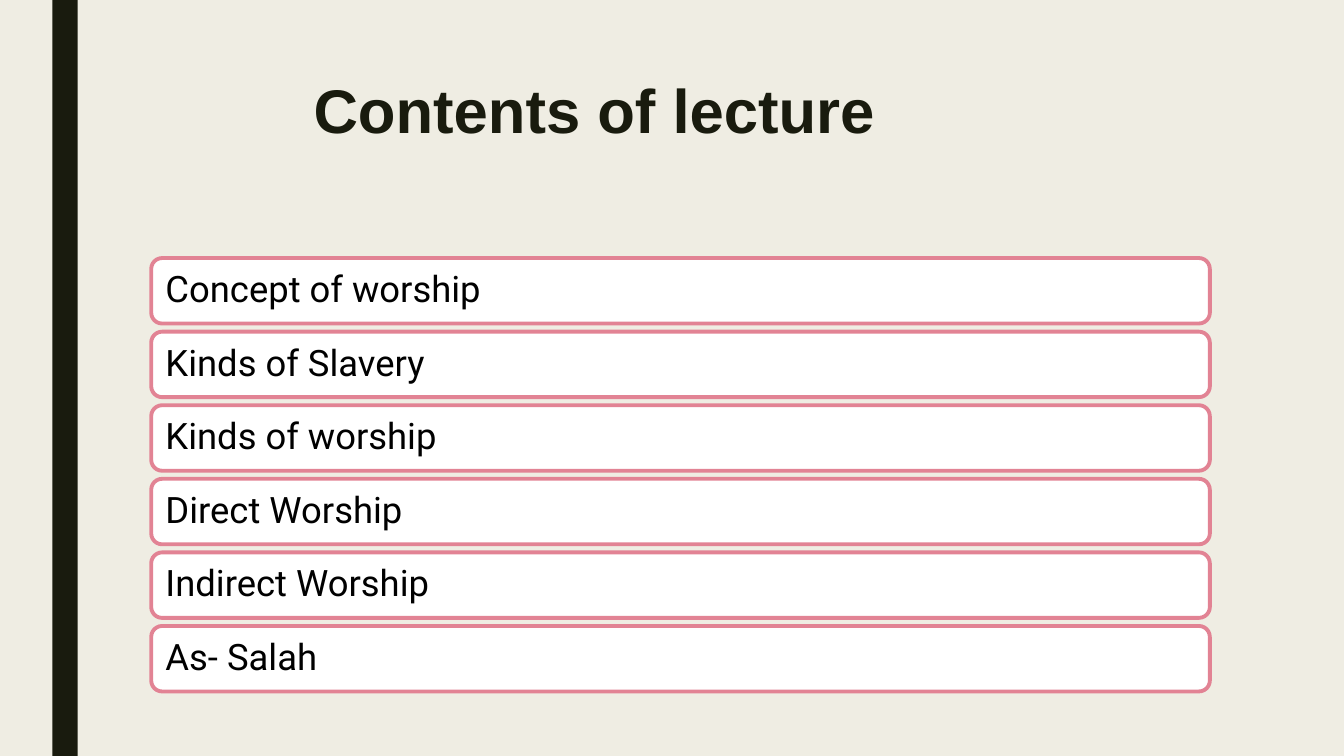
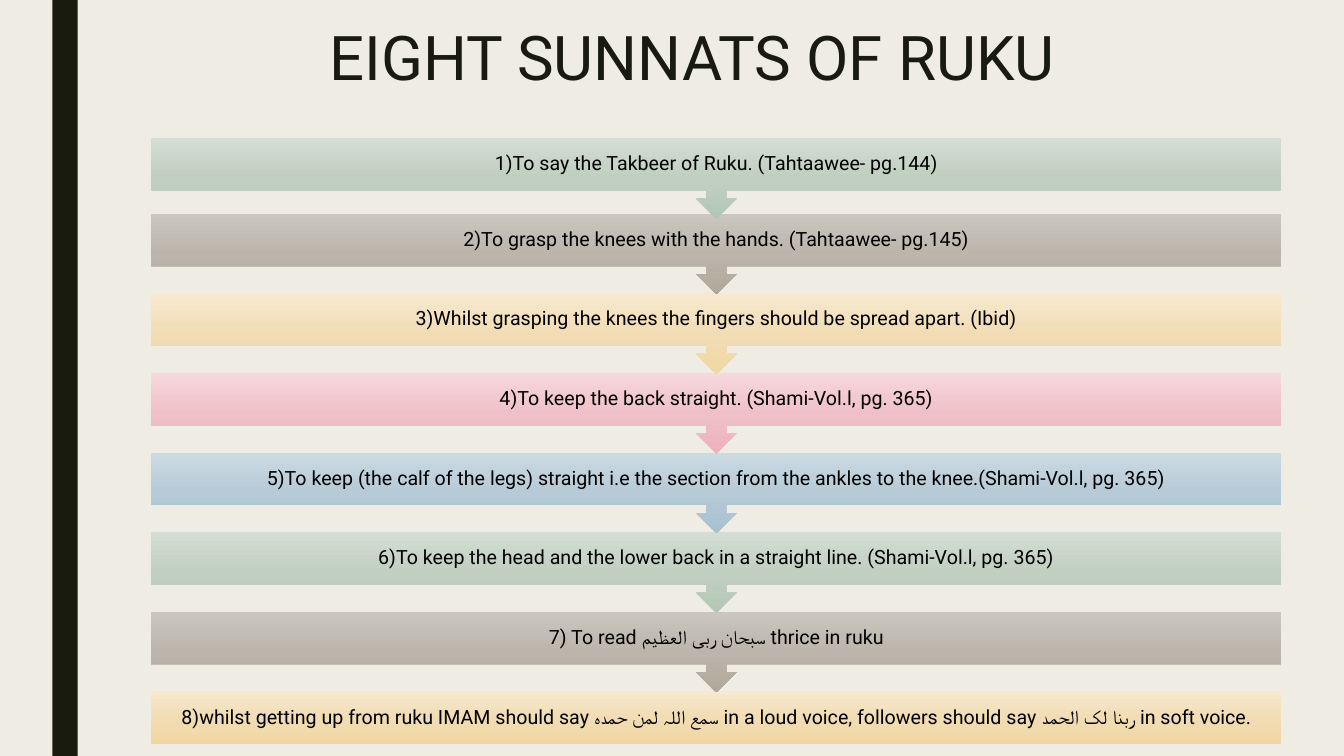
"""Build two lecture slides: a contents list and a chain of steps."""
from copy import deepcopy
from dataclasses import dataclass

from pptx import Presentation
from pptx.dml.color import RGBColor
from pptx.enum.shapes import MSO_SHAPE
from pptx.enum.text import MSO_ANCHOR, PP_ALIGN
from pptx.oxml.ns import qn
from pptx.shapes.autoshape import Shape
from pptx.slide import Slide
from pptx.util import Inches, Pt

PAPER, INK, BLACK, WHITE, ROSE = "EFEDE3", "191B0E", "000000", "FFFFFF", "E28394"
FONT = "Roboto"
LEFT = 1.5

GREEN = ("D3DDD3", "C0CFC0", "B4C7B5")
TAUPE = ("CBC7BF", "BBB5AB", "B0A89A")
SAND = ("F7E9D0", "F1DCB4", "F1D7A3")
PINK = ("F6D9DD", "EFC0C7", "EEB2BB")
BLUE = ("CCDAE3", "B6CAD7", "A7C1D2")
TINTS = (GREEN, TAUPE, SAND, PINK, BLUE)

TOPICS = (
    "Concept of worship",
    "Kinds of Slavery",
    "Kinds of worship",
    "Direct Worship",
    "Indirect Worship",
    "As- Salah",
)
STEPS = (
    "1)To say the Takbeer of Ruku. (Tahtaawee- pg.144)",
    "2)To grasp the knees with the hands. (Tahtaawee- pg.145)",
    "3)Whilst grasping the knees the fingers should be spread apart. (Ibid)",
    "4)To keep the back straight. (Shami-Vol.l, pg. 365)",
    "5)To keep (the calf of the legs) straight i.e the section from the ankles "
    "to the knee.(Shami-Vol.l, pg. 365)",
    "6)To keep the head and the lower back in a straight line. (Shami-Vol.l, pg. 365)",
    "7) To read سبحان ربی العظیم thrice in ruku",
    "8)whilst getting up from ruku IMAM should say سمع اللہ لمن حمدہ in a loud voice, "
    "followers should say ربنا لک الحمد in soft voice.",
)


@dataclass(frozen=True)
class Box:
    """Place of a shape in inches."""

    left: float
    top: float
    width: float
    height: float

    def lengths(self) -> tuple:
        """Return the four lengths for python-pptx."""
        return tuple(Inches(v) for v in (self.left, self.top, self.width, self.height))


@dataclass(frozen=True)
class Style:
    """Look of a line of text."""

    size: int
    color: str = BLACK
    font: str = FONT
    bold: bool = False
    align: PP_ALIGN = PP_ALIGN.LEFT


TOPIC = Style(26)
STEP = Style(14, align=PP_ALIGN.CENTER)


def tint(code: str) -> RGBColor:
    """Turn a hex string into a colour."""
    return RGBColor.from_string(code)


def draw(slide: Slide, kind: MSO_SHAPE, box: Box, fill: str) -> Shape:
    """Add a plain filled shape without line or shadow."""
    shape = slide.shapes.add_shape(kind, *box.lengths())
    shape.shadow.inherit = False
    shape.fill.solid()
    shape.fill.fore_color.rgb = tint(fill)
    shape.line.fill.background()
    return shape


def shade(shape: Shape, tints: tuple) -> None:
    """Fill a shape with an even gradient from top to bottom."""
    fill = shape.fill
    fill.gradient()
    fill.gradient_angle = 270
    stops = shape._element.spPr.find(qn("a:gradFill")).find(qn("a:gsLst"))
    stops.insert(1, deepcopy(stops[0]))
    for i, (stop, code) in enumerate(zip(fill.gradient_stops, tints)):
        stop.color.rgb = tint(code)
        stop.position = i / (len(tints) - 1)


def write(shape: Shape, text: str, style: Style, spacing: float = 0.9) -> None:
    """Set the only paragraph of a shape."""
    shape.text_frame.word_wrap = True
    line = shape.text_frame.paragraphs[0]
    line.text = text
    line.alignment = style.align
    line.line_spacing = spacing
    font = line.font
    font.name, font.size, font.bold = style.font, Pt(style.size), style.bold
    font.color.rgb = tint(style.color)


def label(shape: Shape, text: str, style: Style) -> None:
    """Write text in the middle of a shape with even insets."""
    write(shape, text, style)
    frame = shape.text_frame
    frame.vertical_anchor = MSO_ANCHOR.MIDDLE
    frame.margin_left = frame.margin_right = Inches(0.11)
    frame.margin_top = frame.margin_bottom = Inches(0.11)


def start(deck: Presentation, title: str, box: Box, style: Style) -> Slide:
    """Add a slide with its background, side band and title."""
    slide = deck.slides.add_slide(deck.slide_layouts[6])
    slide.background.fill.solid()
    slide.background.fill.fore_color.rgb = tint(PAPER)
    draw(slide, MSO_SHAPE.RECTANGLE, Box(0.52, 0, 0.25, 7.5), INK)
    head = slide.shapes.add_textbox(*box.lengths())
    write(head, title, style, 0.89)
    head.text_frame.margin_left = Inches(1.61)
    return slide


def topics(deck: Presentation) -> None:
    """Build the list of contents."""
    style = Style(44, INK, "Arial", True)
    slide = start(deck, "Contents of lecture", Box(LEFT, 0.75, 10.5, 0.79), style)
    for i, text in enumerate(TOPICS):
        box = Box(LEFT, 2.56 + 0.73 * i, 10.5, 0.65)
        card = draw(slide, MSO_SHAPE.ROUNDED_RECTANGLE, box, WHITE)
        card.line.color.rgb = tint(ROSE)
        card.line.width = Pt(2.75)
        label(card, text, TOPIC)


def steps(deck: Presentation) -> None:
    """Build the chain of steps from the last to the first."""
    box = Box(1.66, 0.23, 10.33, 0.97)
    slide = start(deck, "EIGHT SUNNATS OF RUKU", box, Style(44, INK))
    last = len(STEPS) - 1
    for i, text in reversed(list(enumerate(STEPS))):
        kind, height = MSO_SHAPE.DOWN_ARROW_CALLOUT, 0.8
        if i == last:
            kind, height = MSO_SHAPE.RECTANGLE, 0.52
        top = max(1.37, 6.86 - 0.79 * (last - i))
        bar = draw(slide, kind, Box(LEFT, top, 11.21, height), WHITE)
        shade(bar, TINTS[i % len(TINTS)])
        label(bar, text, STEP)


def main() -> None:
    """Build and save the deck."""
    deck = Presentation()
    deck.slide_width, deck.slide_height = Inches(13.33), Inches(7.5)
    topics(deck)
    steps(deck)
    deck.save("out.pptx")


if __name__ == "__main__":
    main()
